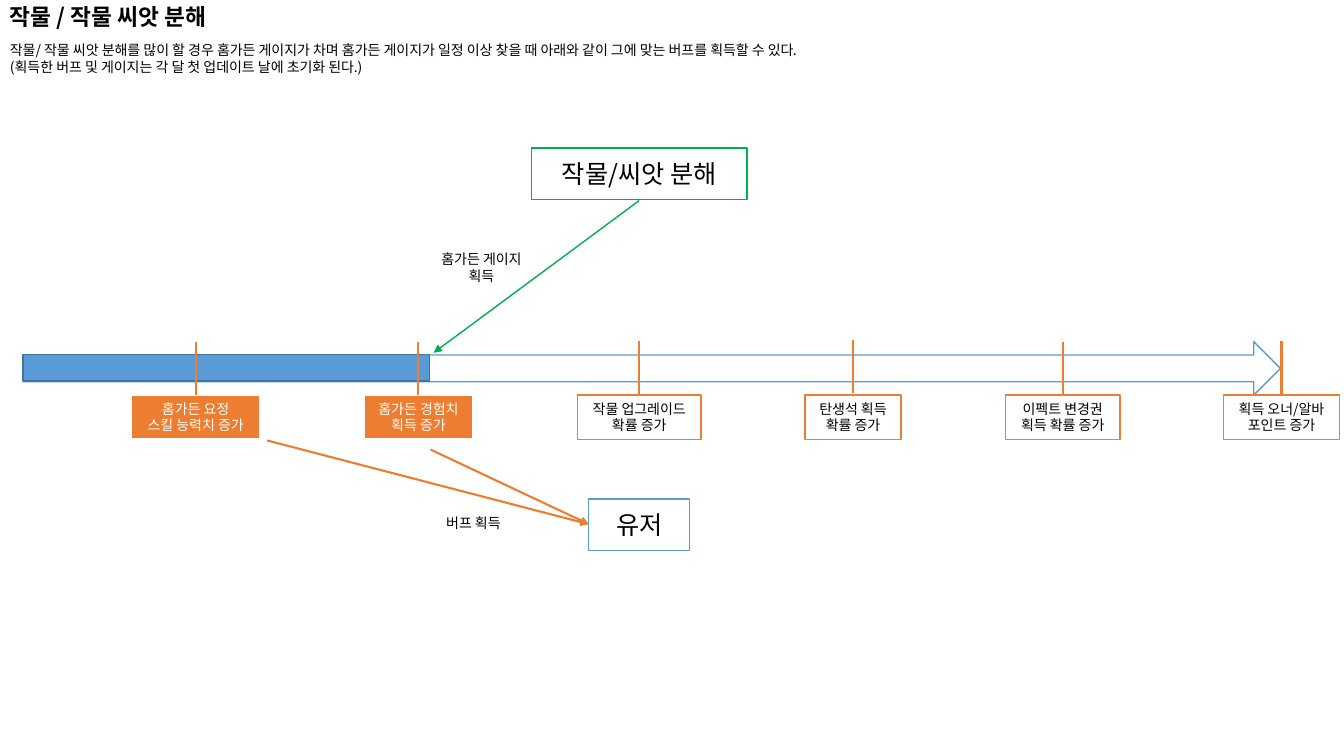
"""Build the home garden slide: a buff gauge filled by dismantling crops and seeds."""
from dataclasses import dataclass
from typing import Optional

from lxml.etree import SubElement
from pptx import Presentation
from pptx.dml.color import RGBColor
from pptx.enum.shapes import MSO_CONNECTOR as Connector, MSO_SHAPE as Preset
from pptx.enum.text import MSO_ANCHOR as Anchor, MSO_AUTO_SIZE as AutoSize, PP_ALIGN as Align
from pptx.oxml.ns import qn
from pptx.shapes.autoshape import Shape
from pptx.shapes.shapetree import SlideShapes
from pptx.util import Inches, Pt


@dataclass(frozen=True)
class Theme:
    """Font, type sizes in points and colours of the slide."""
    font: str = "Noto Sans CJK KR"
    title: float = 16.2
    body: float = 10
    node: float = 18
    black: str = "000000"
    white: str = "FFFFFF"
    blue: str = "5B9BD5"
    navy: str = "43739E"
    orange: str = "ED7D31"
    green: str = "00B050"


THEME = Theme()


@dataclass(frozen=True)
class Frame:
    """Position and size in inches."""
    left: float
    top: float
    width: float
    height: float


@dataclass(frozen=True)
class Style:
    """How a text is set inside its box."""
    size: float = THEME.body
    color: str = THEME.black
    bold: bool = False
    align: Align = Align.CENTER
    anchor: Anchor = Anchor.TOP
    wrap: bool = False
    grow: bool = True
    spacing: Optional[float] = None


@dataclass(frozen=True)
class Buff:
    """A buff on the gauge, centred under its tick."""
    lines: tuple[str, ...]
    center: float
    width: float
    tick_top: float = 3.39
    reached: bool = False


@dataclass(frozen=True)
class Block:
    """A preset shape with its fill and outline."""
    frame: Frame
    fill: str
    line: str
    weight: float = 1
    preset: Preset = Preset.RECTANGLE
    lines: tuple[str, ...] = ()
    style: Style = Style()


@dataclass(frozen=True)
class Label:
    """A text without fill or outline."""
    frame: Frame
    lines: tuple[str, ...]
    style: Style = Style()


@dataclass(frozen=True)
class Line:
    """A straight line between two points in inches."""
    start: tuple[float, float]
    end: tuple[float, float]
    color: str = THEME.orange
    weight: float = 1.5
    arrow: bool = True


BUFF_TOP = 3.92
BUFF_HEIGHT = 0.44
TICK_HEIGHT = 0.53
NODE_STYLE = Style(size=THEME.node, anchor=Anchor.MIDDLE, wrap=True, grow=False)

HEADINGS = (
    Label(Frame(0, -0.01, 13.33, 0.37), ("작물 / 작물 씨앗 분해",),
          Style(THEME.title, bold=True, align=Align.LEFT, anchor=Anchor.MIDDLE,
                wrap=True, grow=False, spacing=0.9)),
    Label(Frame(0, 0.36, 13.33, 0.44),
          ("작물/ 작물 씨앗 분해를 많이 할 경우 홈가든 게이지가 차며 홈가든 게이지가 "
           "일정 이상 찾을 때 아래와 같이 그에 맞는 버프를 획득할 수 있다.",
           "(획득한 버프 및 게이지는 각 달 첫 업데이트 날에 초기화 된다.)"),
          Style(align=Align.LEFT, wrap=True)),
)
GAUGE = (
    Block(Frame(0.23, 3.39, 12.47, 0.53), THEME.white, THEME.blue, preset=Preset.RIGHT_ARROW),
    Block(Frame(0.23, 3.52, 4.03, 0.26), THEME.blue, THEME.navy),
)
BUFFS = (
    Buff(("홈가든 요정", "스킬 능력치 증가"), 1.94, 1.28, reached=True),
    Buff(("홈가든 경험치", "획득 증가"), 4.15, 1.09, reached=True),
    Buff(("작물 업그레이드", "확률 증가"), 6.34, 1.23, 3.38),
    Buff(("탄생석 획득", "확률 증가"), 8.46, 0.95, 3.37),
    Buff(("이펙트 변경권", "획득 확률 증가"), 10.54, 1.14),
    Buff(("획득 오너/알바", "포인트 증가"), 12.71, 1.15, 3.38),
)
NODES = (
    Block(Frame(5.84, 4.95, 1, 0.51), THEME.white, THEME.blue,
          lines=("유저",), style=NODE_STYLE),
    Block(Frame(5.27, 1.47, 2.14, 0.51), THEME.white, THEME.green,
          lines=("작물/씨앗 분해",), style=NODE_STYLE),
)
ARROWS = (
    Line((6.34, 1.99), (4.3, 3.5), THEME.green, 1),
    Line((2.65, 4.37), (5.84, 5.2)),
    Line((4.27, 4.46), (5.84, 5.2)),
)
ARROW_LABELS = (
    Label(Frame(4.23, 2.44, 1.09, 0.44), ("홈가든 게이지", "획득")),
    Label(Frame(4.29, 5.06, 0.81, 0.27), ("버프 획득",)),
)


def bounds(frame: Frame) -> tuple[Inches, ...]:
    """Return the frame as lengths."""
    return tuple(Inches(n) for n in (frame.left, frame.top, frame.width, frame.height))


def write(box: Shape, lines: tuple[str, ...], style: Style) -> None:
    """Set the lines as paragraphs of the box."""
    text = box.text_frame
    text.text = "\n".join(lines)
    text.word_wrap = style.wrap
    text.auto_size = AutoSize.SHAPE_TO_FIT_TEXT if style.grow else AutoSize.NONE
    text.vertical_anchor = style.anchor
    for para in text.paragraphs:
        para.alignment = style.align
        para.line_spacing = style.spacing
        font = para.font
        font.size, font.bold, font.name = Pt(style.size), style.bold, THEME.font
        font.color.rgb = RGBColor.from_string(style.color)
        defaults = para._p.pPr.find(qn("a:defRPr"))
        SubElement(defaults, qn("a:ea"), typeface=THEME.font)


def draw_label(shapes: SlideShapes, label: Label) -> None:
    """Add a text box."""
    write(shapes.add_textbox(*bounds(label.frame)), label.lines, label.style)


def draw_block(shapes: SlideShapes, block: Block) -> None:
    """Add a filled and outlined shape with its text, if any."""
    box = shapes.add_shape(block.preset, *bounds(block.frame))
    box.shadow.inherit = False
    box.fill.solid()
    box.fill.fore_color.rgb = RGBColor.from_string(block.fill)
    box.line.color.rgb = RGBColor.from_string(block.line)
    box.line.width = Pt(block.weight)
    if block.lines:
        write(box, block.lines, block.style)


def draw_line(shapes: SlideShapes, line: Line) -> None:
    """Add a connector, with an arrowhead at its end if asked."""
    points = (Inches(n) for n in (*line.start, *line.end))
    connector = shapes.add_connector(Connector.STRAIGHT, *points)
    connector.line.color.rgb = RGBColor.from_string(line.color)
    connector.line.width = Pt(line.weight)
    if line.arrow:
        SubElement(connector.line._get_or_add_ln(), qn("a:tailEnd"), type="triangle")
    SubElement(connector._element.spPr, qn("a:effectLst"))


def draw_buff(shapes: SlideShapes, buff: Buff) -> None:
    """Add a buff box and its tick on the gauge."""
    fill, line, weight, color = (
        (THEME.orange, THEME.white, 1.5, THEME.white) if buff.reached
        else (THEME.white, THEME.orange, 1, THEME.black))
    frame = Frame(buff.center - buff.width / 2, BUFF_TOP, buff.width, BUFF_HEIGHT)
    draw_block(shapes, Block(frame, fill, line, weight, lines=buff.lines, style=Style(color=color)))
    draw_line(shapes, Line((buff.center, buff.tick_top),
                           (buff.center, buff.tick_top + TICK_HEIGHT), arrow=False))


def main() -> None:
    """Draw the slide and save the deck."""
    deck = Presentation()
    deck.slide_width, deck.slide_height = Inches(13.33), Inches(7.5)
    shapes = deck.slides.add_slide(deck.slide_layouts[6]).shapes
    for label in HEADINGS:
        draw_label(shapes, label)
    for block in GAUGE:
        draw_block(shapes, block)
    for buff in BUFFS:
        draw_buff(shapes, buff)
    for block in NODES:
        draw_block(shapes, block)
    for line in ARROWS:
        draw_line(shapes, line)
    for label in ARROW_LABELS:
        draw_label(shapes, label)
    deck.save("out.pptx")


if __name__ == "__main__":
    main()
